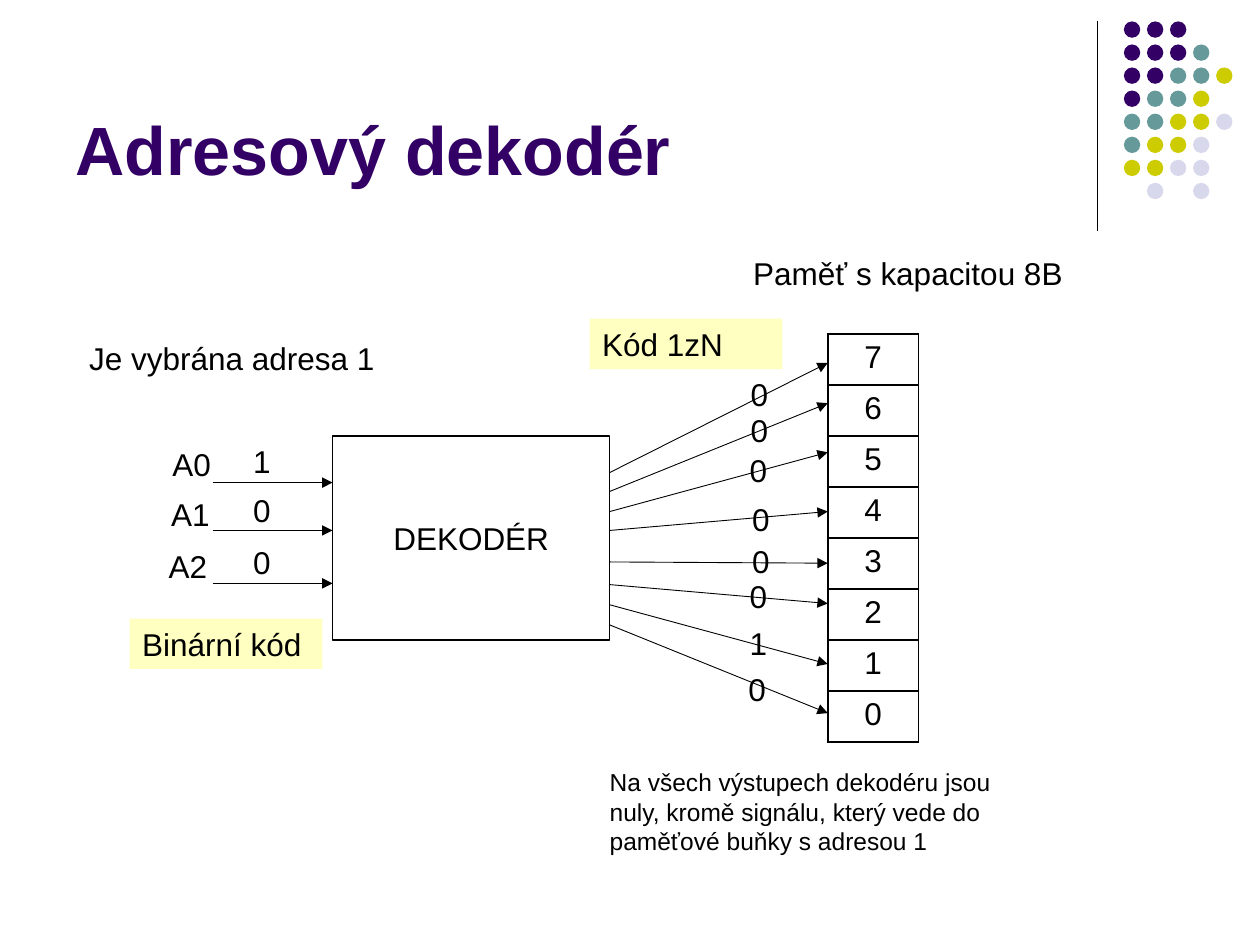
"""Build the address decoder slide."""
import pptx
import pptx.dml.color
import pptx.enum.shapes
import pptx.enum.text
import pptx.oxml
import pptx.oxml.ns
import pptx.util
from dataclasses import dataclass

Inches = pptx.util.Inches
Align = pptx.enum.text.PP_ALIGN
Anchor = pptx.enum.text.MSO_ANCHOR


@dataclass(frozen=True)
class Theme:
    font: str = "Arial"
    ink: str = "000000"
    purple: str = "330066"
    teal: str = "669999"
    olive: str = "CCCC00"
    lilac: str = "D8D8EC"
    label: str = "FFFFC2"
    title: int = 39
    body: int = 18
    note: int = 14


THEME = Theme()
TITLE = "Adresový dekodér"
DOT_ROWS = ["PPP", "PPPT", "PPTTO", "PTTO", "TTOOL", "TOOL", "OOLL", " L L"]
DOT_COLORS = {"P": THEME.purple, "T": THEME.teal, "O": THEME.olive, "L": THEME.lilac}
DOT_LEFT, DOT_TOP, DOT_PITCH, DOT_SIZE = 8.92, 0.17, 0.183, 0.13
MEMORY_CELLS = ["7", "6", "5", "4", "3", "2", "1", "0"]
MEMORY_BOX = (6.57, 2.65, 0.72, 3.24)
DECODER_BOX = (2.64, 3.46, 2.2, 1.62)
INPUT_LEFT = 1.69
BIT_SIZE = (0.55, 0.4)
INPUTS = [
    ("A0", 1.27, 3.48, "1", 3.46, 3.83),
    ("A1", 1.26, 3.88, "0", 3.85, 4.21),
    ("A2", 1.24, 4.29, "0", 4.26, 4.63),
]
OUTPUTS = [
    (3.75, 2.88, "0", 5.86, 2.93),
    (3.9, 3.2, "0", 5.86, 3.21),
    (4.06, 3.59, "0", 5.85, 3.53),
    (4.21, 4.06, "0", 5.87, 3.92),
    (4.46, 4.47, "0", 5.87, 4.25),
    (4.64, 4.79, "0", 5.85, 4.53),
    (4.8, 5.27, "1", 5.85, 4.9),
    (4.96, 5.66, "0", 5.84, 5.27),
]
CAPTIONS = [
    ("Paměť s kapacitou 8B", (5.88, 1.97, 2.84, 0.4), THEME.body),
    ("Je vybrána adresa 1", (0.61, 2.64, 2.6, 0.4), THEME.body),
    ("Na všech výstupech dekodéru jsou nuly, kromě signálu, který vede do "
     "paměťové buňky s adresou 1", (4.74, 6.04, 3.51, 0.81), THEME.note),
]
CODE_LABELS = [
    ("Binární kód", (1.03, 4.91, 1.53, 0.4)),
    ("Kód 1zN", (4.68, 2.53, 1.53, 0.4)),
]


def rgb(color):
    return pptx.dml.color.RGBColor.from_string(color)


def lengths(values):
    return [Inches(value) for value in values]


def write(frame, text, size=THEME.body, color=THEME.ink, bold=False, align=Align.LEFT):
    paragraph = frame.paragraphs[0]
    paragraph.alignment = align
    run = paragraph.add_run()
    run.text = text
    run.font.name = THEME.font
    run.font.size = pptx.util.Pt(size)
    run.font.bold = bold
    run.font.color.rgb = rgb(color)


def add_text(slide, text, box, size=THEME.body, color=THEME.ink, bold=False, anchor=Anchor.TOP):
    frame = slide.shapes.add_textbox(*lengths(box)).text_frame
    frame.word_wrap = True
    frame.vertical_anchor = anchor
    write(frame, text, size, color, bold)


def add_shape(slide, kind, box, fill=None, line=None):
    shape = slide.shapes.add_shape(kind, *lengths(box))
    shape.shadow.inherit = False
    if fill:
        shape.fill.solid()
        shape.fill.fore_color.rgb = rgb(fill)
    else:
        shape.fill.background()
    if line:
        shape.line.color.rgb = rgb(line)
        shape.line.width = pptx.util.Pt(0.75)
    else:
        shape.line.fill.background()
    return shape


def add_line(slide, start, end, width=0.5, arrow=True):
    line = slide.shapes.add_connector(
        pptx.enum.shapes.MSO_CONNECTOR.STRAIGHT, *lengths(start + end))
    line.line.color.rgb = rgb(THEME.ink)
    line.line.width = pptx.util.Pt(width)
    properties = line._element.spPr
    if arrow:
        outline = properties.find(pptx.oxml.ns.qn("a:ln"))
        head = pptx.oxml.parse_xml(
            f'<a:tailEnd {pptx.oxml.ns.nsdecls("a")} type="triangle"/>')
        outline.append(head)
    properties.append(pptx.oxml.parse_xml(f'<a:effectLst {pptx.oxml.ns.nsdecls("a")}/>'))


def add_border(cell):
    properties = cell._tc.get_or_add_tcPr()
    for position, side in enumerate(("lnL", "lnR", "lnT", "lnB")):
        border = pptx.oxml.parse_xml(
            f'<a:{side} {pptx.oxml.ns.nsdecls("a")} w="12700"><a:solidFill>'
            f'<a:srgbClr val="{THEME.ink}"/></a:solidFill></a:{side}>')
        properties.insert(position, border)


def add_decoration(slide):
    add_line(slide, (8.71, 0.17), (8.71, 1.83), 0.75, arrow=False)
    for row, codes in enumerate(DOT_ROWS):
        for column, code in enumerate(codes):
            if code in DOT_COLORS:
                box = (DOT_LEFT + column * DOT_PITCH, DOT_TOP + row * DOT_PITCH,
                       DOT_SIZE, DOT_SIZE)
                add_shape(slide, pptx.enum.shapes.MSO_SHAPE.OVAL, box, DOT_COLORS[code])


def add_memory(slide):
    table = slide.shapes.add_table(len(MEMORY_CELLS), 1, *lengths(MEMORY_BOX)).table
    table.first_row = False
    table.horz_banding = False
    for row, text in enumerate(MEMORY_CELLS):
        table.rows[row].height = Inches(MEMORY_BOX[3] / len(MEMORY_CELLS))
        cell = table.cell(row, 0)
        cell.fill.background()
        add_border(cell)
        write(cell.text_frame, text, align=Align.CENTER)


def add_decoder(slide):
    rectangle = pptx.enum.shapes.MSO_SHAPE.RECTANGLE
    decoder = add_shape(slide, rectangle, DECODER_BOX, line=THEME.ink)
    decoder.text_frame.vertical_anchor = Anchor.MIDDLE
    write(decoder.text_frame, "DEKODÉR", align=Align.CENTER)
    decoder_left, decoder_right = DECODER_BOX[0], DECODER_BOX[0] + DECODER_BOX[2]
    for start, end, bit, left, top in OUTPUTS:
        add_line(slide, (decoder_right, start), (MEMORY_BOX[0], end))
        add_text(slide, bit, (left, top) + BIT_SIZE)
    for name, left, top, bit, bit_top, level in INPUTS:
        add_line(slide, (INPUT_LEFT, level), (decoder_left, level))
        add_text(slide, name, (left, top) + BIT_SIZE)
        add_text(slide, bit, (1.91, bit_top) + BIT_SIZE)
    for text, box in CODE_LABELS:
        label = add_shape(slide, rectangle, box, THEME.label)
        label.text_frame.vertical_anchor = Anchor.TOP
        write(label.text_frame, text)


presentation = pptx.Presentation()
presentation.slide_width, presentation.slide_height = lengths((10, 7.5))
slide = presentation.slides.add_slide(presentation.slide_layouts[6])
add_decoration(slide)
add_text(slide, TITLE, (0.5, 0.13, 8.25, 1.42), THEME.title, THEME.purple, True, Anchor.BOTTOM)
add_memory(slide)
add_decoder(slide)
for text, box, size in CAPTIONS:
    add_text(slide, text, box, size)
presentation.save("out.pptx")
